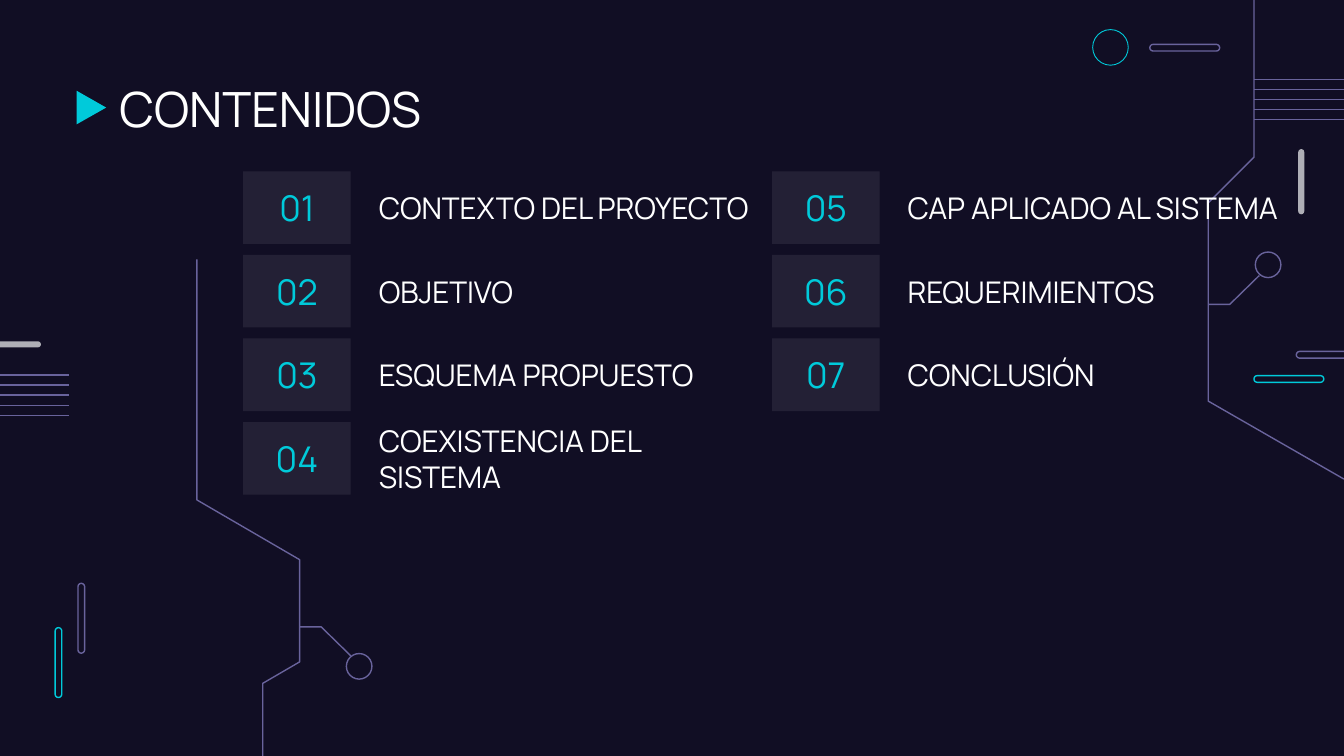
from dataclasses import dataclass
from typing import NamedTuple

from lxml import etree
from pptx import Presentation
from pptx import util as u
from pptx.dml import color as c
from pptx.enum import shapes as s, text as t
from pptx.oxml import ns

COLS, ROWS = 100, 56.25
UNIT = u.Inches(0.1)


@dataclass(frozen=True)
class Theme:
    back: str = "110E24"
    cyan: str = "00CADA"
    violet: str = "69639C"
    gray: str = "AFAFB6"
    white: str = "FFFFFF"
    font: str = "Manrope"
    title: float = 26
    badge: float = 19
    item: float = 16
    line: float = 0.75
    thin: float = 0.47
    veil: int = 8


class Box(NamedTuple):
    col: float
    row: float
    wide: float
    high: float


class Mark(NamedTuple):
    kind: s.MSO_SHAPE
    box: Box
    fill: str | None = None
    line: str | None = None
    width: float = 0.75
    turn: float = 0


class Trace(NamedTuple):
    points: tuple[tuple[float, float], ...]


class Bus(NamedTuple):
    start: float
    end: float
    row: float


THEME = Theme()
PILL, RING = s.MSO_SHAPE.ROUNDED_RECTANGLE, s.MSO_SHAPE.OVAL
LONG, SHORT = 5.2, 0.5
STEP = 0.75

MARKS = (
    Mark(PILL, Box(4.1, 46.7, SHORT, LONG), line=THEME.cyan),
    Mark(PILL, Box(5.8, 43.4, SHORT, LONG), line=THEME.violet),
    Mark(PILL, Box(93.3, 27.95, LONG, SHORT), line=THEME.cyan),
    Mark(PILL, Box(96.45, 26.15, LONG, SHORT), line=THEME.violet),
    Mark(PILL, Box(85.55, 3.3, LONG, SHORT), line=THEME.violet),
    Mark(RING, Box(81.3, 2.2, 2.65, 2.65), line=THEME.cyan, width=THEME.thin),
    Mark(RING, Box(93.4, 18.75, 1.9, 1.9), line=THEME.violet),
    Mark(RING, Box(25.77, 48.63, 1.9, 1.9), line=THEME.violet),
    Mark(PILL, Box(96.6, 11.1, 0.45, 4.85), fill=THEME.gray),
    Mark(PILL, Box(-1.8, 25.4, 4.85, 0.45), fill=THEME.gray),
    Mark(s.MSO_SHAPE.FLOWCHART_MERGE, Box(5.55, 6.9, 2.5, 2.2),
         fill=THEME.cyan, turn=270),
)
TRACES = (
    Trace(((93.7, 20.5), (91.5, 22.65), (89.9, 22.65))),
    Trace(((COLS, 35.65), (89.9, 29.85), (89.9, 15.1), (93.3, 11.7), (93.3, 0))),
    Trace(((26.1, 48.8), (23.9, 46.65), (22.3, 46.65))),
    Trace(((14.65, 19.3), (14.65, 37.2), (22.3, 41.65), (22.3, 49.25),
           (19.55, 50.85), (19.55, ROWS))),
)
BUSES = (Bus(93.3, COLS, 5.9), Bus(0, 5.15, 27.9))
TOPICS = (
    ("CONTEXTO DEL PROYECTO", "OBJETIVO", "ESQUEMA PROPUESTO",
     "COEXISTENCIA DEL SISTEMA"),
    ("CAP APLICADO AL SISTEMA", "REQUERIMIENTOS", "CONCLUSIÓN"),
)


def grid(*cells: float) -> list[int]:
    return [round(cell * UNIT) for cell in cells]


def hue(code: str) -> c.RGBColor:
    return c.RGBColor.from_string(code)


def ink(shape, fill: str | None, line: str | None, width: float = THEME.line) -> None:
    shape.shadow.inherit = False
    for part, code in ((shape.fill, fill), (shape.line.fill, line)):
        if code:
            part.solid()
            part.fore_color.rgb = hue(code)
        else:
            part.background()
    if line:
        shape.line.width = u.Pt(width)


def draw_mark(page, mark: Mark) -> None:
    shape = page.shapes.add_shape(mark.kind, *grid(*mark.box))
    ink(shape, mark.fill, mark.line, mark.width)
    shape.rotation = mark.turn
    if mark.kind == PILL:
        shape.adjustments[0] = 0.5


def draw_trace(page, trace: Trace) -> None:
    first, *rest = [grid(*point) for point in trace.points]
    pen = page.shapes.build_freeform(*first)
    pen.add_line_segments(rest, close=False)
    ink(pen.convert_to_shape(), None, THEME.violet)


def draw_bus(page, bus: Bus) -> None:
    for i in range(5):
        row = bus.row + i * STEP
        wire = page.shapes.add_connector(
            s.MSO_CONNECTOR.STRAIGHT, *grid(bus.start, row, bus.end, row))
        wire.line.color.rgb = hue(THEME.violet)
        wire.line.width = u.Pt(THEME.line)
        etree.SubElement(wire._element.spPr, ns.qn("a:effectLst"))


def write(shape, words: str, size: float, code: str,
          align=t.PP_ALIGN.LEFT, anchor=t.MSO_ANCHOR.MIDDLE) -> None:
    frame = shape.text_frame
    pad = u.Inches(0.1)
    form = {"word_wrap": True, "vertical_anchor": anchor, "margin_left": pad,
            "margin_right": pad, "margin_top": pad, "margin_bottom": pad}
    for name, value in form.items():
        setattr(frame, name, value)
    line = frame.paragraphs[0]
    line.alignment = align
    run = line.add_run()
    run.text = words
    for name, value in {"name": THEME.font, "size": u.Pt(size)}.items():
        setattr(run.font, name, value)
    run.font.color.rgb = hue(code)


def draw_text(page, box: Box, words: str, size: float,
              anchor=t.MSO_ANCHOR.MIDDLE) -> None:
    write(page.shapes.add_textbox(*grid(*box)), words, size, THEME.white,
          anchor=anchor)


def draw_badge(page, box: Box, words: str) -> None:
    shape = page.shapes.add_shape(s.MSO_SHAPE.RECTANGLE, *grid(*box))
    ink(shape, THEME.white, None)
    tint = shape._element.spPr.find(ns.qn("a:solidFill"))[0]
    etree.SubElement(tint, ns.qn("a:alpha"), val=str(THEME.veil * 1000))
    write(shape, words, THEME.badge, THEME.cyan, t.PP_ALIGN.CENTER)


def draw_topics(page) -> None:
    count = 0
    for i, group in enumerate(TOPICS):
        for j, words in enumerate(group):
            count += 1
            col, row = 18.1 + i * 39.35, 12.75 + j * 6.22
            draw_badge(page, Box(col, row, 8, 5.4), f"{count:02}")
            draw_text(page, Box(col + 9.1, row, 29.7, 5.4), words, THEME.item)


def main() -> None:
    deck = Presentation()
    deck.slide_width, deck.slide_height = grid(COLS, ROWS)
    page = deck.slides.add_slide(deck.slide_layouts[6])
    page.background.fill.solid()
    page.background.fill.fore_color.rgb = hue(THEME.back)
    for draw, parts in ((draw_mark, MARKS), (draw_trace, TRACES), (draw_bus, BUSES)):
        for part in parts:
            draw(page, part)
    draw_text(page, Box(7.9, 4.9, 84.3, 6.3), "CONTENIDOS", THEME.title,
              t.MSO_ANCHOR.TOP)
    draw_topics(page)
    deck.save("out.pptx")


if __name__ == "__main__":
    main()
